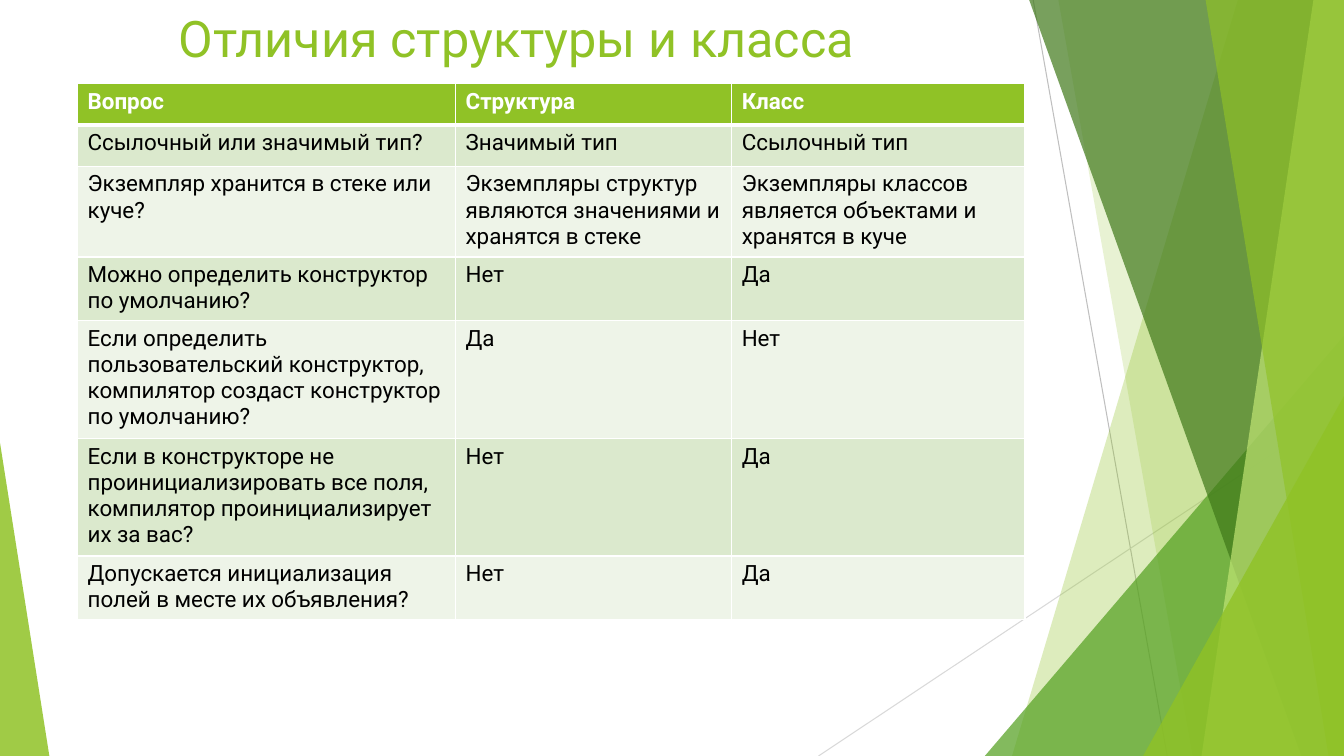
from lxml.etree import SubElement
from pptx import Presentation
from pptx.dml.color import RGBColor
from pptx.enum.shapes import MSO_CONNECTOR, MSO_SHAPE
from pptx.enum.text import MSO_ANCHOR, PP_ALIGN
from pptx.oxml.ns import qn
from pptx.util import Inches, Pt

# Slide grid: 40 columns by 30 rows
WIDTH, HEIGHT = Inches(13.33), Inches(7.5)
COLS, ROWS = 40, 30

FONT = "Roboto"
WHITE = RGBColor(0xFF, 0xFF, 0xFF)
BLACK = RGBColor(0x00, 0x00, 0x00)
LIME = RGBColor(0x90, 0xC2, 0x26)
GREEN = RGBColor(0x54, 0xA0, 0x21)
FOREST = RGBColor(0x3F, 0x78, 0x19)
PALE = RGBColor(0xC0, 0xE4, 0x74)
GRAY = RGBColor(0xBF, 0xBF, 0xBF)
SILVER = RGBColor(0xD9, 0xD9, 0xD9)
BANDS = RGBColor(0xDB, 0xE9, 0xCD), RGBColor(0xEE, 0xF4, 0xE8)

TITLE = "Отличия структуры и класса"
SHARES = 11.25, 8.22, 8.73
CELLS = [
    ("Вопрос", "Структура", "Класс"),
    ("Ссылочный или значимый тип?", "Значимый тип", "Ссылочный тип"),
    ("Экземпляр хранится в стеке или куче?",
     "Экземпляры структур являются значениями и хранятся в стеке",
     "Экземпляры классов является объектами и хранятся в куче"),
    ("Можно определить конструктор по умолчанию?", "Нет", "Да"),
    ("Если определить пользовательский конструктор, "
     "компилятор создаст конструктор по умолчанию?", "Да", "Нет"),
    ("Если в конструкторе не проинициализировать все поля, "
     "компилятор проинициализирует их за вас?", "Нет", "Да"),
    ("Допускается инициализация полей в месте их объявления?", "Нет", "Да"),
]


def across(cols):
    return round(WIDTH * cols / COLS)


def down(rows):
    return round(HEIGHT * rows / ROWS)


def area(left, top, width, height):
    return across(left), down(top), across(width), down(height)


def tint(shape, color, alpha):
    """Flat fill with the given opacity in percent."""
    shape.shadow.inherit = False
    shape.line.fill.background()
    shape.fill.solid()
    shape.fill.fore_color.rgb = color
    tone = shape.fill._xPr.find(qn("a:solidFill"))[0]
    SubElement(tone, qn("a:alpha"), val=str(alpha * 1000))


def write(para, text, size, color, bold=False):
    run = para.add_run()
    run.text = text
    run.font.name = FONT
    run.font.size = Pt(size)
    run.font.bold = bold
    run.font.color.rgb = color


def add_ray(slide, start, end, color):
    ray = slide.shapes.add_connector(
        MSO_CONNECTOR.STRAIGHT, across(start[0]), down(start[1]),
        across(end[0]), down(end[1]))
    ray.line.color.rgb = color
    ray.line.width = Pt(0.75)
    SubElement(ray._element.spPr, qn("a:effectLst"))


def add_wedge(slide, box, apex, color, alpha):
    wedge = slide.shapes.add_shape(
        MSO_SHAPE.ISOSCELES_TRIANGLE, *area(*box))
    wedge.adjustments[0] = apex
    tint(wedge, color, alpha)


def add_pane(slide, box, head, foot, color, alpha):
    """Full-height pane with a slanted left edge, flush with the box's right."""
    left, top, width, height = box
    right, base = across(left + width), down(top + height)
    peak = across(left + head), down(top)
    form = slide.shapes.build_freeform(*peak)
    form.add_line_segments(
        [(right, down(top)), (right, base), (across(left + foot), base)],
        close=True)
    tint(form.convert_to_shape(), color, alpha)


def add_decor(slide, box):
    left, top, width, height = box
    right, base = left + width, top + height

    def corner(x, y, color, alpha):
        part = left + x, top + y, width - x, height - y
        add_wedge(slide, part, 1, color, alpha)

    # Thin rays
    add_ray(slide, (left + 6.75, top), (left + 10.74, base), GRAY)
    add_ray(slide, (right, top + 16.12), (left + 0.36, base), SILVER)

    # Overlapping panes and corner wedges, back to front
    add_pane(slide, box, 12.84, 6.12, LIME, 30)
    add_pane(slide, box, 7.5, 11.49, LIME, 20)
    corner(5.31, 13.32, GREEN, 72)
    for head, foot, color, alpha in [(6.63, 14.73, FOREST, 70),
                                     (15.09, 11.76, PALE, 70),
                                     (11.88, 15.54, LIME, 65)]:
        add_pane(slide, box, head, foot, color, alpha)
    corner(10.02, 15.72, LIME, 80)


def add_title(slide, box):
    frame = slide.shapes.add_textbox(*area(*box)).text_frame
    frame.word_wrap = True
    frame.vertical_anchor = MSO_ANCHOR.MIDDLE
    para = frame.paragraphs[0]
    para.alignment = PP_ALIGN.CENTER
    write(para, TITLE, 36, LIME)


def edge(cell, row):
    """White rules, thicker around the foot of the header."""
    props = cell._tc.get_or_add_tcPr()
    for side in "LRTB":
        thick = (row, side) in [(0, "B"), (1, "T")]
        rule = SubElement(props, qn(f"a:ln{side}"),
                          w=str(Pt(3 if thick else 1)))
        fill = SubElement(rule, qn("a:solidFill"))
        SubElement(fill, qn("a:srgbClr"), val=str(WHITE))


def add_grid(slide, box):
    table = slide.shapes.add_table(
        len(CELLS), len(SHARES), *area(*box)).table
    for col, share in zip(table.columns, SHARES):
        col.width = across(box[2] * share / sum(SHARES))
    for r, texts in enumerate(CELLS):
        table.rows[r].height = down(box[3] / len(CELLS))
        for c, text in enumerate(texts):
            cell = table.cell(r, c)
            edge(cell, r)
            cell.fill.solid()
            cell.fill.fore_color.rgb = BANDS[(r - 1) % 2] if r else LIME
            write(cell.text_frame.paragraphs[0], text, 16,
                  BLACK if r else WHITE, r == 0)


def main():
    deck = Presentation()
    deck.slide_width, deck.slide_height = WIDTH, HEIGHT
    slide = deck.slides.add_slide(deck.slide_layouts[6])
    add_decor(slide, (24, 0, 16, ROWS))
    add_wedge(slide, (0, 17.56, 1.47, 12.44), 0, LIME, 85)
    add_title(slide, (0, 0, 30.75, 3))
    add_grid(slide, (2.31, 3.32, 28.2, 11.48))
    deck.save("out.pptx")


if __name__ == "__main__":
    main()
